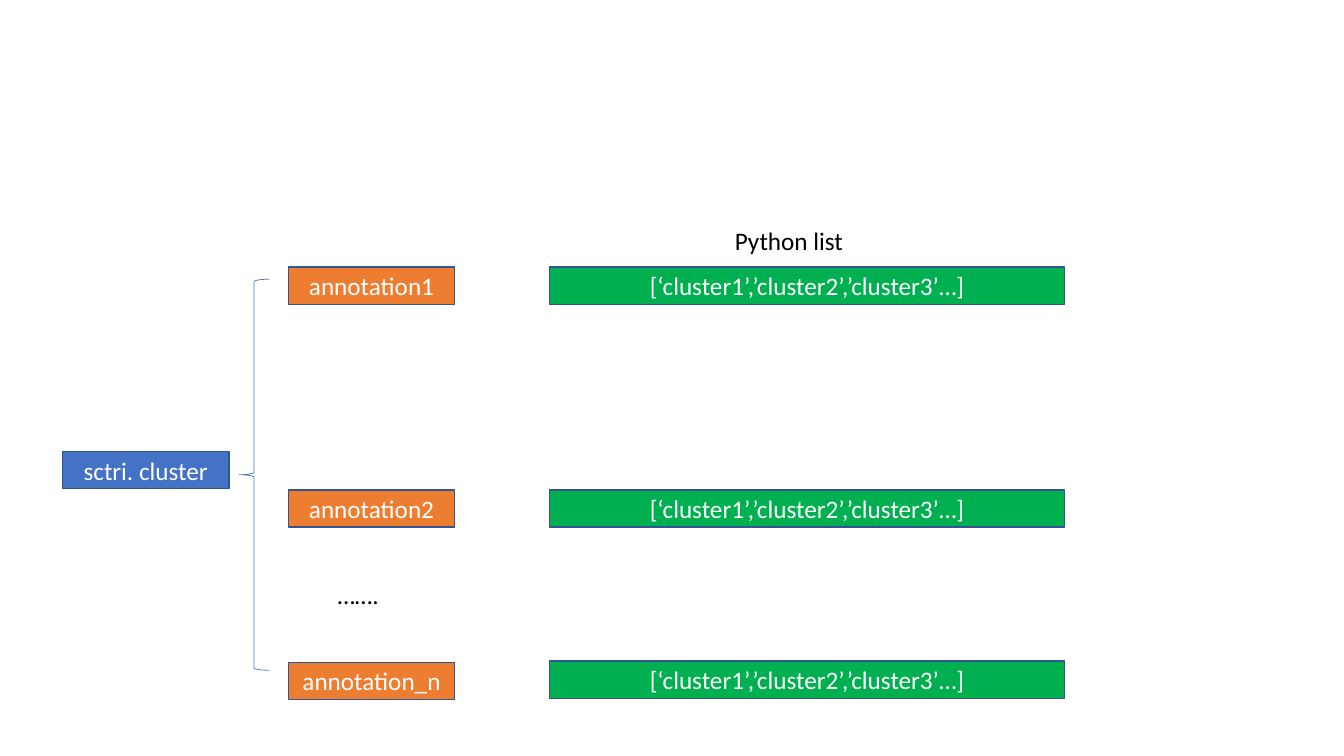
import pptx
import pptx.util
import pptx.dml.color
import pptx.enum.shapes
import pptx.enum.text

Inches = pptx.util.Inches
SHAPE = pptx.enum.shapes.MSO_SHAPE
ALIGN = pptx.enum.text.PP_ALIGN
ANCHOR = pptx.enum.text.MSO_ANCHOR

ROOT = "sctri. cluster"
CLUSTERS = "[‘cluster1’,’cluster2’,’cluster3’…]"
ROWS = [
    ("annotation1", 2.65, 2.65),
    ("annotation2", 4.86, 4.86),
    ("annotation_n", 6.57, 6.56),
]
LABELS = [
    ("…….", 3.25, 5.7, 1.07),
    ("Python list", 7.19, 2.19, 2.31),
]
BLUE, ORANGE, GREEN = "4472C4", "ED7D31", "00B050"
OUTLINE, WHITE, BLACK = "325491", "FFFFFF", "000000"
NODE_W, LIST_W, BOX_H, LABEL_H = 1.65, 5.11, 0.37, 0.4
ROOT_X, NODE_X, LIST_X = 0.62, 2.86, 5.45


def rgb(value):
    return pptx.dml.color.RGBColor.from_string(value)


def write(sp, text, color, align):
    tf = sp.text_frame
    tf.word_wrap = True
    p = tf.paragraphs[0]
    p.text = text
    p.alignment = align
    p.font.name = "Calibri"
    p.font.size = pptx.util.Pt(18)
    p.font.color.rgb = rgb(color)


def add_outlined(s, kind, x, y, w, h, line, weight):
    sp = s.shapes.add_shape(kind, Inches(x), Inches(y), Inches(w), Inches(h))
    sp.shadow.inherit = False
    sp.line.color.rgb = rgb(line)
    sp.line.width = pptx.util.Pt(weight)
    return sp


def add_box(s, text, x, y, w, fill):
    sp = add_outlined(s, SHAPE.RECTANGLE, x, y, w, BOX_H, OUTLINE, 1)
    sp.fill.solid()
    sp.fill.fore_color.rgb = rgb(fill)
    sp.text_frame.vertical_anchor = ANCHOR.MIDDLE
    write(sp, text, WHITE, ALIGN.CENTER)


def main():
    prs = pptx.Presentation()
    prs.slide_width, prs.slide_height = Inches(13.33), Inches(7.5)
    s = prs.slides.add_slide(prs.slide_layouts[6])

    add_box(s, ROOT, ROOT_X, 4.48, NODE_W, BLUE)
    brace = add_outlined(s, SHAPE.LEFT_BRACE, 2.37, 2.77, 0.3, 3.88, BLUE, 0.5)
    brace.fill.background()

    for name, node_y, list_y in ROWS:
        add_box(s, name, NODE_X, node_y, NODE_W, ORANGE)
        add_box(s, CLUSTERS, LIST_X, list_y, LIST_W, GREEN)

    for text, x, y, w in LABELS:
        sp = s.shapes.add_textbox(Inches(x), Inches(y), Inches(w), Inches(LABEL_H))
        write(sp, text, BLACK, ALIGN.LEFT)

    prs.save("out.pptx")


if __name__ == "__main__":
    main()
